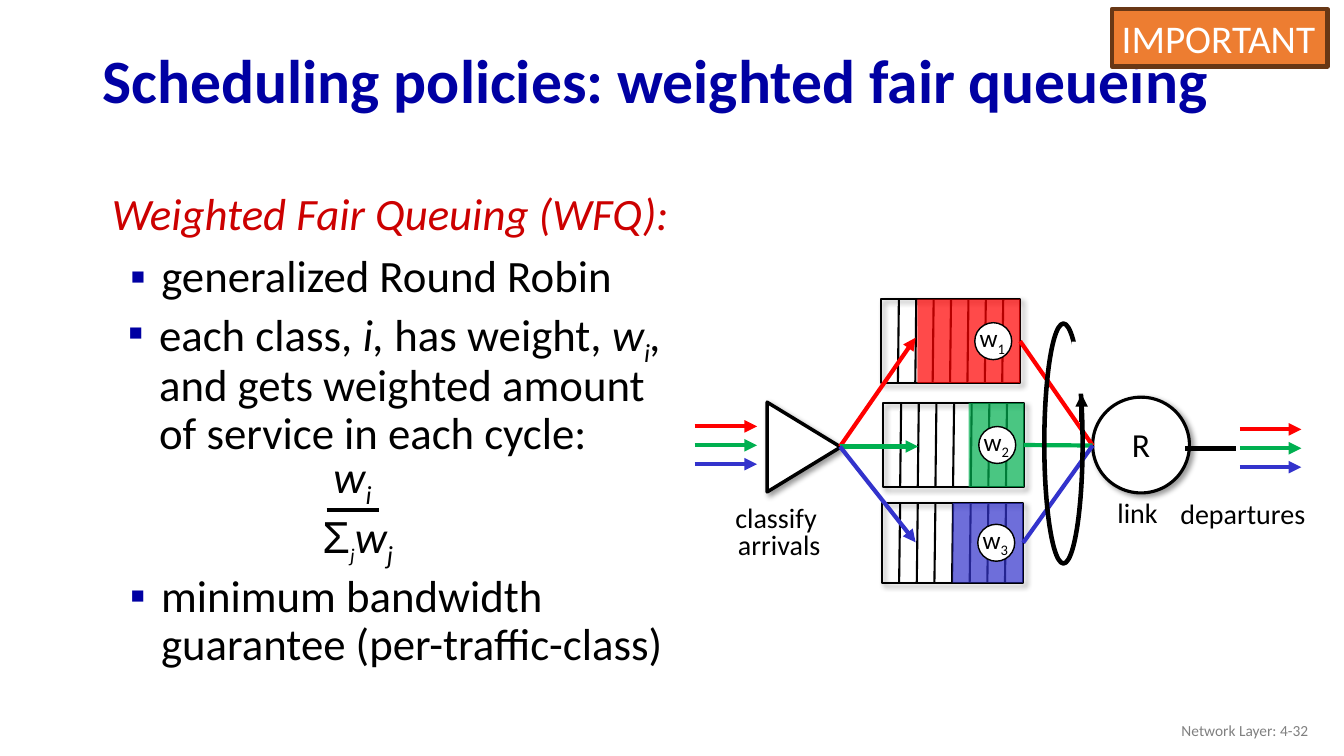
import pptx
import pptx.util
import pptx.dml.color
import pptx.enum.shapes
import pptx.enum.text
import pptx.oxml
import pptx.oxml.ns

Pt = pptx.util.Pt
RGBColor = pptx.dml.color.RGBColor
SHAPE = pptx.enum.shapes.MSO_SHAPE
ALIGN = pptx.enum.text.PP_ALIGN
ANCHOR = pptx.enum.text.MSO_ANCHOR
STRAIGHT = pptx.enum.shapes.MSO_CONNECTOR.STRAIGHT
SPACE = pptx.oxml.ns.nsdecls("a")

BLACK = RGBColor(0x00, 0x00, 0x00)
WHITE = RGBColor(0xFF, 0xFF, 0xFF)
NAVY = RGBColor(0x00, 0x00, 0xA3)
CRIMSON = RGBColor(0xCC, 0x00, 0x00)
GREY = RGBColor(0x80, 0x80, 0x80)
ORANGE = RGBColor(0xED, 0x7D, 0x31)
BROWN = RGBColor(0x68, 0x37, 0x15)
RED = RGBColor(0xFF, 0x00, 0x00)
GREEN = RGBColor(0x00, 0xB0, 0x50)
BLUE = RGBColor(0x33, 0x33, 0xCC)
CLASSES = [RED, GREEN, BLUE]

# The page is a grid of 160 columns by 90 rows of square cells.
deck = pptx.Presentation()
deck.slide_width = pptx.util.Inches(13.333)
deck.slide_height = pptx.util.Inches(7.5)
CELL = deck.slide_height / 90
page = deck.slides.add_slide(deck.slide_layouts[1])


def write(frame, spans, size=32, colour=BLACK, align=ALIGN.LEFT, spacing=1.0, before=0,
          bold=False, italic=False, bullet=False, indent=None, wrap=True, anchor=ANCHOR.TOP):
    """Add one paragraph; a span is text, or text with a dict of changes."""
    frame.word_wrap = wrap
    frame.vertical_anchor = anchor
    frame.auto_size = pptx.enum.text.MSO_AUTO_SIZE.NONE
    para = frame.paragraphs[-1]
    if para.runs:
        para = frame.add_paragraph()
    para.alignment = align
    para.line_spacing = spacing
    para.space_before = Pt(before)
    properties = para._p.get_or_add_pPr()
    if indent:
        properties.set("marL", str(round(indent[0] * CELL)))
        properties.set("indent", str(round(indent[1] * CELL)))
    marks = ["<a:buNone %s/>"]
    if bullet:
        marks = [f'<a:buClr %s><a:srgbClr val="{NAVY}"/></a:buClr>',
                 '<a:buFont %s typeface="Arial"/>', '<a:buChar %s char="▪"/>']
    for mark in marks:
        properties.append(pptx.oxml.parse_xml(mark % SPACE))
    for span in spans:
        words, change = (span, {}) if isinstance(span, str) else span
        run = para.add_run()
        run.text = words
        run.font.name = change.get("font", "Calibri")
        run.font.size = Pt(change.get("size", size))
        run.font.bold = bold
        run.font.italic = change.get("italic", italic)
        run.font.color.rgb = colour
        if change.get("sub"):
            run._r.get_or_add_rPr().set("baseline", "-25000")


def draw(kind, box, fill=None, edge=None, weight=1.0, shadow=False, opacity=None):
    shape = page.shapes.add_shape(kind, *[round(value * CELL) for value in box])
    shape.shadow.inherit = False
    if fill is None:
        shape.fill.background()
    else:
        shape.fill.solid()
        shape.fill.fore_color.rgb = fill
    if opacity:
        tint = shape._element.spPr.find(".//" + pptx.oxml.ns.qn("a:srgbClr"))
        tint.append(pptx.oxml.parse_xml(f'<a:alpha {SPACE} val="{opacity * 1000}"/>'))
    if edge is None:
        shape.line.fill.background()
    else:
        shape.line.color.rgb = edge
        shape.line.width = Pt(weight)
    if shadow:
        shape._element.spPr.find(pptx.oxml.ns.qn("a:effectLst")).append(pptx.oxml.parse_xml(
            f'<a:outerShdw {SPACE} blurRad="{Pt(4)}" dist="{Pt(3)}" dir="2700000">'
            '<a:srgbClr val="000000"><a:alpha val="40000"/></a:srgbClr></a:outerShdw>'))
    return shape


# Title and bulleted text
SUB = {"italic": True, "sub": True}
SLANT = {"italic": True}
ITEM = {"spacing": 0.9, "before": 10, "bullet": True, "indent": (7.68, -3.72)}
HEADING = {"spacing": 0.9, "before": 10, "indent": (4.68, -2.88), "italic": True, "colour": CRIMSON}

title, body = page.shapes.title, page.placeholders[1]
each_class = page.shapes.add_textbox(0, 0, 0, 0)
guarantee = page.shapes.add_textbox(0, 0, 0, 0)
for holder, box in [(title, (11.04, 4.08, 138, 11.76)), (body, (10.32, 22.2, 73, 14.64)),
                    (each_class, (10.08, 36, 73, 18.6)), (guarantee, (10.32, 67.68, 73, 13.8))]:
    holder.left, holder.top, holder.width, holder.height = [round(value * CELL) for value in box]

write(title.text_frame, ["Scheduling policies: weighted fair queueing"], size=44, colour=NAVY,
      bold=True, spacing=0.9, anchor=ANCHOR.MIDDLE)
write(body.text_frame, ["Weighted Fair Queuing (WFQ):"], **HEADING)
write(body.text_frame, ["generalized Round Robin"], **ITEM)
write(each_class.text_frame,
      ["each class, ", ("i, ", SLANT), "has weight, ", ("w", SLANT), ("i", SUB), (", ", SLANT),
       "and gets weighted amount of service in each cycle:"], **ITEM)
write(guarantee.text_frame, ["minimum bandwidth guarantee (per-traffic-class)"], **ITEM)

# Queues, classifier and link
QUEUES = [(104.88, 35.64, 16.56, 9.96), (105.12, 48, 16.8, 9.96), (105, 59.88, 16.8, 9.48)]
BACKLOG_STARTS = [109.2, 115.32, 113.4]
SLOTS = 8
queues = [draw(SHAPE.RECTANGLE, box, edge=BLACK, weight=1.5, shadow=True) for box in QUEUES]
classifier = draw(SHAPE.ISOSCELES_TRIANGLE, (90.36, 48.84, 10.68, 8.76), WHITE, BLACK, 2.5, True)
classifier.rotation = 90
draw(SHAPE.OVAL, (130.08, 47.28, 11.52, 11.4), WHITE, BLACK, 2.25, True)

# Lines: begin, end, colour, weight, arrowhead, queue whose right side it leaves
lines = [((141.12, 53.4), (147.12, 53.4), BLACK, 3, False, None),
         ((128.76, 50.28), (128.76, 46.92), BLACK, 3, True, None),
         ((38.88, 60.72), (45.12, 60.72), BLACK, 3, False, None)]
for left, top, width, height in QUEUES:
    for slot in range(1, SLOTS):
        x = left + slot * width / SLOTS
        lines.append(((x + 0.06, top), (x - 0.06, top + height), BLACK, 1.5, False, None))
QUEUE_HEADS = [(109, 40.2), (109.3, 53.16), (109, 64.56)]
for row, (colour, head, queue) in enumerate(zip(CLASSES, QUEUE_HEADS, queues)):
    for left, right, top in [(82.7, 90.12, 50.76), (147.6, 154.92, 51.12)]:
        y = top + 2.25 * row
        lines.append(((left, y), (right, y), colour, 3, True, None))
    lines.append(((100, 53.16), head, colour, 3, True, None))
    lines.append((head, (130.08, 53.04), colour, 3, False, queue))

for begin, end, colour, weight, arrow, queue in lines:
    line = page.shapes.add_connector(STRAIGHT, *[round(value * CELL) for value in begin + end])
    if queue is not None:
        line.begin_connect(queue, 3)
    line.line.color.rgb = colour
    line.line.width = Pt(weight)
    if arrow:
        line.line._get_or_add_ln().append(
            pptx.oxml.parse_xml(f'<a:tailEnd {SPACE} type="triangle"/>'))
    line._element.spPr.append(pptx.oxml.parse_xml(f"<a:effectLst {SPACE}/>"))

# Cycle loop, open at the upper right
draw(SHAPE.OVAL, (124.32, 38.52, 4.56, 28.56), edge=BLACK, weight=3.25)
draw(SHAPE.RECTANGLE, (127.56, 40.68, 2.52, 6.2), WHITE)

# Labels: box, paragraphs, format
CAPTION = {"size": 20, "align": ALIGN.CENTER, "spacing": 0.8, "wrap": False}
labels = [
    ((86.28, 59.76, 12.96, 7.8), [["classify "], ["arrivals"]], CAPTION),
    ((139.2, 59.28, 17.52, 4.56), [["departures"]], CAPTION),
    ((131.76, 59.16, 7.32, 4.56), [["link"]], CAPTION),
    ((133.56, 50.76, 4.56, 5.16), [["R"]], {**CAPTION, "size": 24}),
    ((38.52, 52.8, 7.08, 7.68), [[("w", SLANT), ("i", SUB)]], {"wrap": False}),
    ((37.2, 60, 11.16, 7.68),
     [[("Σ", {"font": "Arial"}), ("j", {**SUB, "size": 24}), ("w", SLANT), ("j", SUB)]],
     {"wrap": False}),
    ((120.96, 84.6, 36, 4.8), [["Network Layer: 4-32"]],
     {"size": 11, "colour": GREY, "align": ALIGN.RIGHT, "anchor": ANCHOR.MIDDLE}),
]
DISC = 4.4
for number, (box, start, colour) in enumerate(zip(QUEUES, BACKLOG_STARTS, CLASSES), 1):
    left, top, width, height = box
    right = left + width
    draw(SHAPE.RECTANGLE, (start, top, right - start, height), colour, opacity=71)
    x, y = right - 5.4, top + (height - DISC) / 2
    draw(SHAPE.OVAL, (x, y, DISC, DISC), WHITE, BLACK)
    labels.append(((x - 0.6, y - 0.6, 5.64, 4.8), [["w", (str(number), {"sub": True})]],
                   {"size": 18, "wrap": False}))

for box, paragraphs, style in labels:
    label = page.shapes.add_textbox(*[round(value * CELL) for value in box])
    for spans in paragraphs:
        write(label.text_frame, spans, **style)

badge = draw(SHAPE.RECTANGLE, (132.36, 1.08, 25.68, 6.84), ORANGE, BROWN, 3)
write(badge.text_frame, ["IMPORTANT"], size=28, colour=WHITE, wrap=False)

deck.save("out.pptx")
